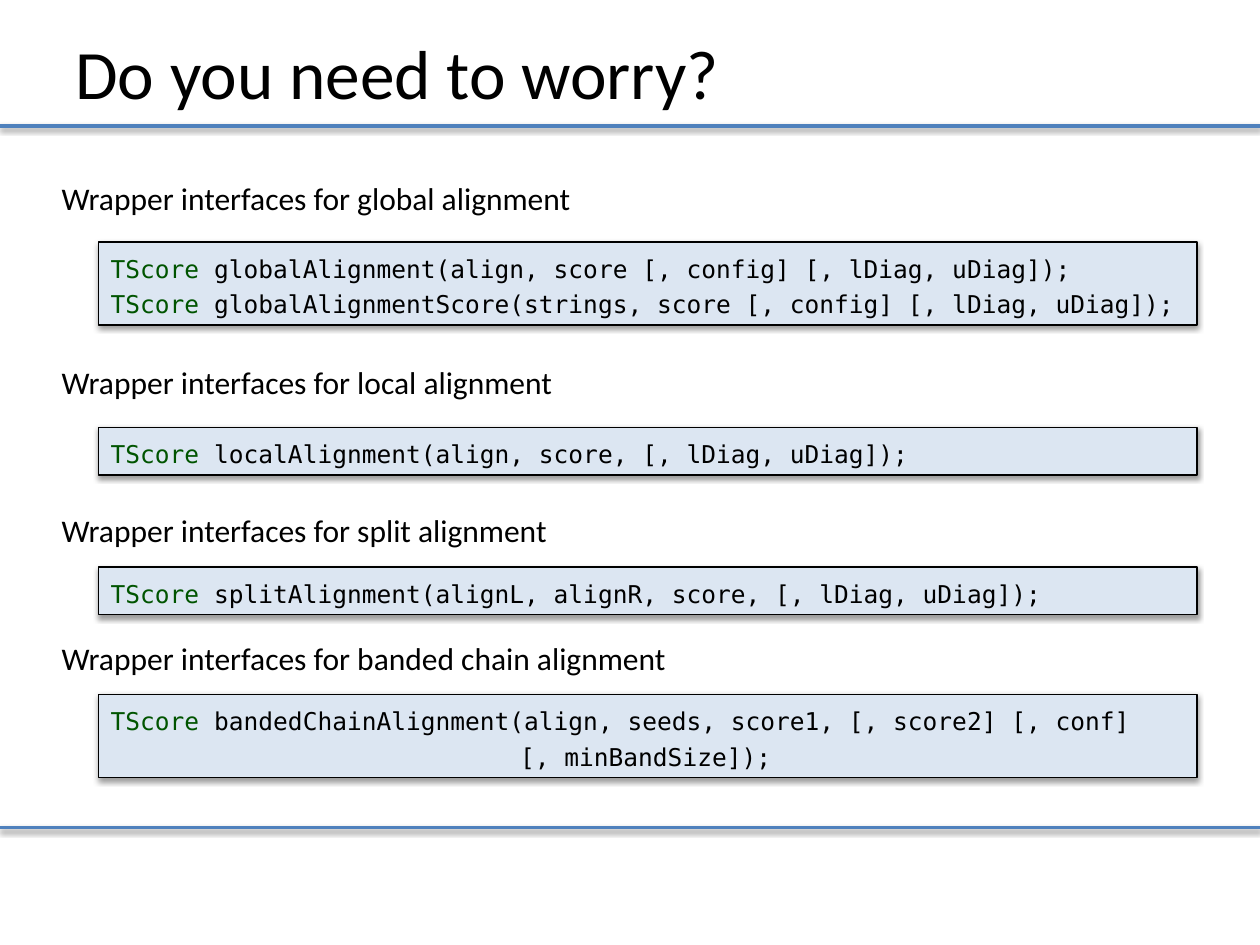
from lxml.etree import SubElement
from pptx import Presentation
from pptx.dml.color import RGBColor as RGB
from pptx.enum.shapes import MSO_CONNECTOR as CONN, MSO_SHAPE as SHAPE
from pptx.enum.text import MSO_ANCHOR as ANCHOR, MSO_AUTO_SIZE as AUTO, PP_ALIGN as ALIGN
from pptx.oxml.ns import qn
from pptx.util import Pt

COLORS = {"text": "000000", "type": "005400", "code": "DCE6F2", "rule": "4F81BD"}
WIDTH, HEIGHT = 720, 540
CONTINUED = 234

SECTIONS = [
    ("global", 98.64, 138.24, [
        ("TScore ", "globalAlignment(align, score [, config] [, lDiag, uDiag]);"),
        ("TScore ", "globalAlignmentScore(strings, score [, config] [, lDiag, uDiag]);")]),
    ("local", 203.76, 244.08, [
        ("TScore ", "localAlignment(align, score, [, lDiag, uDiag]);")]),
    ("split", 288.72, 324, [
        ("TScore ", "splitAlignment(alignL, alignR, score, [, lDiag, uDiag]);")]),
    ("banded chain", 361.44, 396.72, [
        ("TScore ", "bandedChainAlignment(align, seeds, score1, [, score2] [, conf]"),
        ("", "[, minBandSize]);")]),
]


def color(name):
    return RGB.from_string(COLORS[name])


def add_shadow(effects):
    shadow = SubElement(effects, qn("a:outerShdw"), blurRad=str(Pt(3.1)),
                        dist=str(Pt(1.6)), dir="5400000", rotWithShape="0")
    black = SubElement(shadow, qn("a:srgbClr"), val=COLORS["text"])
    SubElement(black, qn("a:alpha"), val="38000")


def add_rule(s, y):
    line = s.shapes.add_connector(CONN.STRAIGHT, Pt(0), Pt(y), Pt(WIDTH), Pt(y))
    line.line.color.rgb = color("rule")
    line.line.width = Pt(2)
    add_shadow(SubElement(line._element.spPr, qn("a:effectLst")))


def add_text(s, text, box, size, anchor=ANCHOR.TOP, auto=AUTO.SHAPE_TO_FIT_TEXT):
    tf = s.shapes.add_textbox(*map(Pt, box)).text_frame
    tf.word_wrap = True
    tf.auto_size = auto
    tf.vertical_anchor = anchor
    p = tf.paragraphs[0]
    p.text = text
    p.font.name = "Calibri"
    p.font.size = Pt(size)
    p.font.color.rgb = color("text")


def add_code(s, top, lines):
    height = 7.2 + 20.16 * len(lines)
    sp = s.shapes.add_shape(SHAPE.RECTANGLE, Pt(56.16), Pt(top), Pt(627.84), Pt(height))
    sp.fill.solid()
    sp.fill.fore_color.rgb = color("code")
    sp.line.color.rgb = color("text")
    sp.line.width = Pt(0.75)
    sp.shadow.inherit = False
    add_shadow(sp._element.spPr.find(qn("a:effectLst")))
    tf = sp.text_frame
    tf.word_wrap = True
    tf.auto_size = AUTO.SHAPE_TO_FIT_TEXT
    tf.vertical_anchor = ANCHOR.TOP
    for i, (type_name, call) in enumerate(lines):
        p = tf.add_paragraph() if i else tf.paragraphs[0]
        p.alignment = ALIGN.LEFT
        p.line_spacing = 1.2
        p.font.name = "DejaVu Sans Mono"
        p.font.size = Pt(14)
        if not type_name:
            p._p.get_or_add_pPr().set("marL", str(Pt(CONTINUED)))
        for text, name in ((type_name, "type"), (call, "text")):
            if text:
                r = p.add_run()
                r.text = text
                r.font.color.rgb = color(name)


def main():
    prs = Presentation()
    prs.slide_width, prs.slide_height = Pt(WIDTH), Pt(HEIGHT)
    s = prs.slides.add_slide(prs.slide_layouts[6])
    for y in (72, 473):
        add_rule(s, y)
    add_text(s, "Do you need to worry?", (36, 12.24, 648, 57.6), 39.6,
             ANCHOR.MIDDLE, AUTO.NONE)
    for kind, label_top, code_top, lines in SECTIONS:
        add_text(s, f"Wrapper interfaces for {kind} alignment",
                 (28.08, label_top, 556.56, 28.8), 18)
        add_code(s, code_top, lines)
    prs.save("out.pptx")


main()
